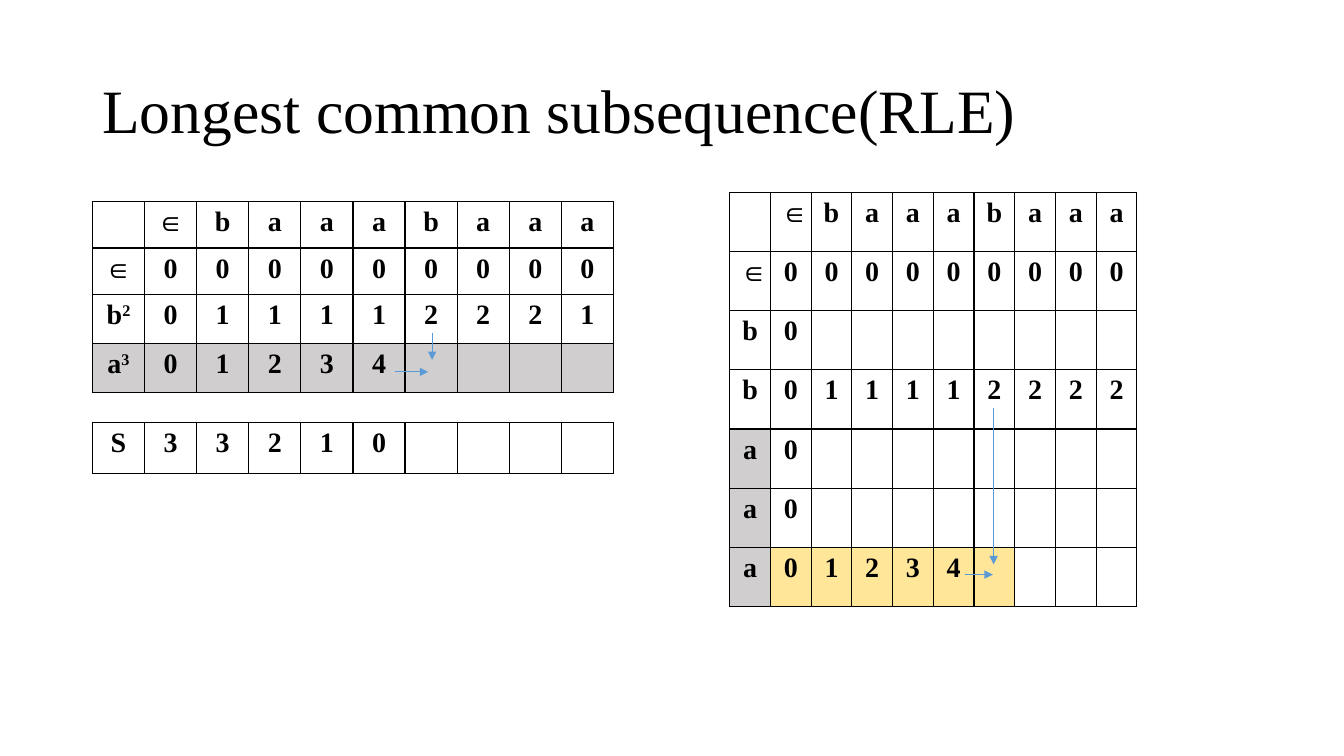
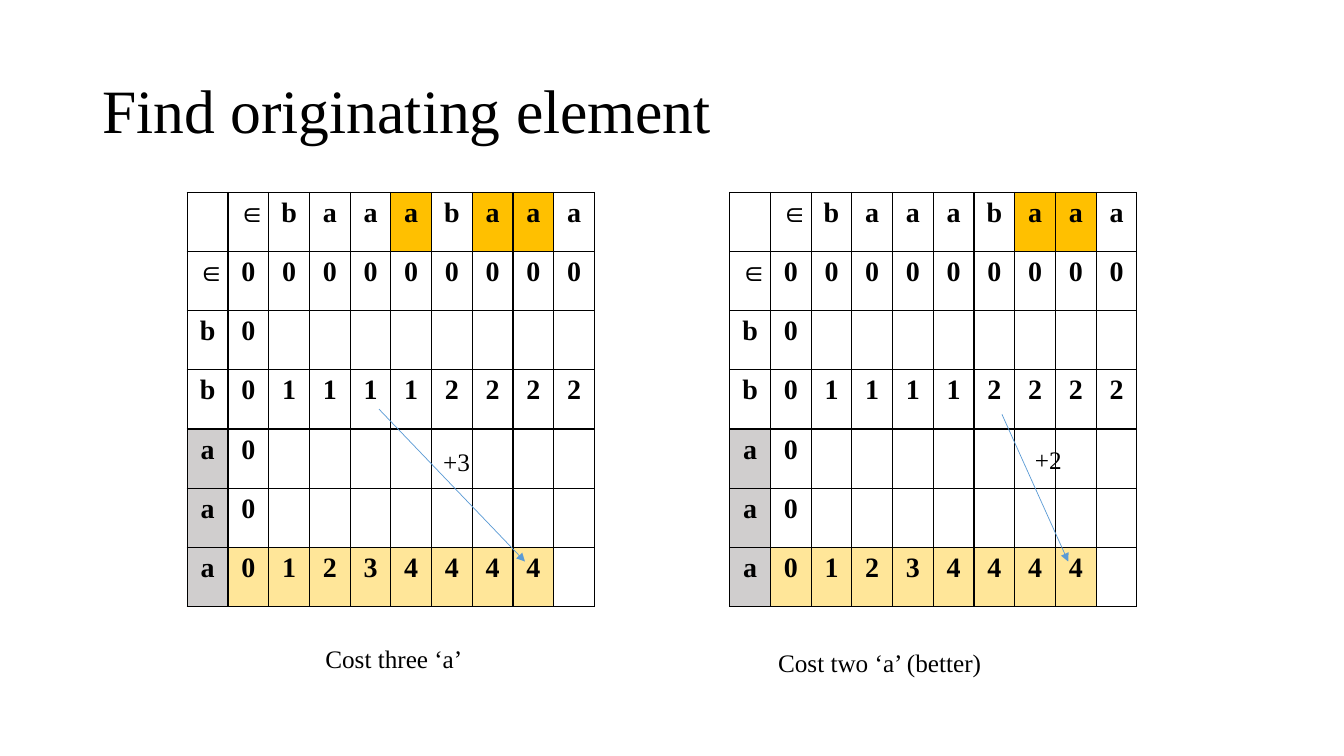
from lxml import etree
from pptx import Presentation
from pptx.dml.color import RGBColor
from pptx.enum.shapes import MSO_CONNECTOR
from pptx.enum.text import MSO_ANCHOR, PP_ALIGN
from pptx.oxml.ns import qn
from pptx.util import Cm, Pt

STRAIGHT = MSO_CONNECTOR.STRAIGHT
MIDDLE = MSO_ANCHOR.MIDDLE
CENTER = PP_ALIGN.CENTER
FONT = "Times New Roman"
COLORS = {
    "ink": "000000",
    "arrow": "5B9BD5",
    "gray": "D0CECE",
    "cream": "FFE699",
    "gold": "FFC000",
}
HEAD = " ∈baaabaaa"
ZEROS = "∈000000000"
LEFT = 4.72
RIGHT = 18.39
TOP = 4.85


def color(key):
    return RGBColor.from_string(COLORS[key])


def style(part, size, bold=False):
    for run in part.runs:
        run.font.name = FONT
        run.font.size = Pt(size)
        run.font.bold = bold
        run.font.color.rgb = color("ink")


def label(slide, text, box, size=18):
    frame = slide.shapes.add_textbox(*map(Cm, box)).text_frame
    frame.word_wrap = True
    frame.text = text
    style(frame.paragraphs[0], size)
    return frame


def page(deck, title):
    slide = deck.slides.add_slide(deck.slide_layouts[6])
    frame = label(slide, title, (2.33, 1.02, 29.21, 3.68), 44)
    frame.vertical_anchor = MIDDLE
    frame.paragraphs[0].line_spacing = 0.9
    return slide


def arrow(slide, base, start, end):
    x, y = base
    ends = (x + start[0], y + start[1], x + end[0], y + end[1])
    line = slide.shapes.add_connector(STRAIGHT, *map(Cm, ends))
    line.line.color.rgb = color("arrow")
    line.line.width = Pt(0.5)
    stroke = line.line._get_or_add_ln()
    etree.SubElement(stroke, qn("a:tailEnd"), type="triangle")
    etree.SubElement(line._element.spPr, qn("a:effectLst"))


def border(cell):
    props = cell._tc.get_or_add_tcPr()
    for spot, side in enumerate(("lnL", "lnR", "lnT", "lnB")):
        edge = etree.Element(qn("a:" + side), w=str(Pt(1)))
        fill = etree.SubElement(edge, qn("a:solidFill"))
        etree.SubElement(fill, qn("a:srgbClr"), val=COLORS["ink"])
        props.insert(spot, edge)


def fill_cell(cell, text, shade):
    base, _, power = text.strip().partition("^")
    cell.text = base
    part = cell.text_frame.paragraphs[0]
    part.alignment = CENTER
    if power:
        raised = part.add_run()
        raised.text = power
        raised.font._element.set("baseline", "30000")
    style(part, 20, True)
    if shade:
        cell.fill.solid()
        cell.fill.fore_color.rgb = color(shade)
    else:
        cell.fill.background()
    border(cell)


def grid(slide, base, width, heights, rows, shades):
    count = len(HEAD)
    box = (*base, width, sum(heights))
    table = slide.shapes.add_table(len(rows), count, *map(Cm, box)).table
    table.first_row = False
    table.horz_banding = False
    for col in table.columns:
        col.width = Cm(width / count)
    for r, (height, row) in enumerate(zip(heights, rows)):
        table.rows[r].height = Cm(height)
        for c in range(count):
            text = row[c] if c < len(row) else ""
            fill_cell(table.cell(r, c), text, shades.get((r, c)))


def full_grid(slide, base, last, marks=()):
    rows = [HEAD, ZEROS, "b0", "b011112222", "a0", "a0", "a" + last]
    shades = {(r, 0): "gray" for r in (4, 5, 6)}
    shades.update({(6, c + 1): "cream" for c in range(len(last))})
    shades.update({(0, c): "gold" for c in marks})
    grid(slide, base, 10.26, [1.49] * 7, rows, shades)


def short_grid(slide, base):
    x, y = base
    rows = [HEAD, ZEROS, ["b^2", *"011112221"], ["a^3", *"01234"]]
    shades = {(3, c): "gray" for c in range(len(HEAD))}
    grid(slide, base, 13.13, [1.17, 1.17, 1.24, 1.24], rows, shades)
    grid(slide, (x, y + 5.56), 13.13, [1.3], ["S33210"], {})
    arrow(slide, base, (8.56, 3.3), (8.56, 3.99))
    arrow(slide, base, (7.62, 4.29), (8.46, 4.29))


def cost_grid(slide, base, marks, start, end, gain, spot, note, foot):
    x, y = base
    full_grid(slide, base, "01234444", marks)
    arrow(slide, base, start, end)
    label(slide, gain, (x + spot[0], y + spot[1], 1.68, 1.02))
    label(slide, note, (x + foot[0], y + foot[1], 9.3, 1.02))


def main():
    deck = Presentation()
    deck.slide_width = Cm(33.87)
    deck.slide_height = Cm(19.05)

    slide = page(deck, "Longest common subsequence(RLE)")
    short_grid(slide, (2.33, 5.08))
    base = (RIGHT, TOP)
    full_grid(slide, base, "01234 ")
    arrow(slide, base, (6.65, 5.44), (6.65, 9.37))
    arrow(slide, base, (5.92, 9.63), (6.63, 9.63))

    slide = page(deck, "Find originating element")
    cost_grid(slide, (RIGHT, TOP), (7, 8), (6.86, 5.59), (8.53, 9.3),
              "+2", (7.44, 6.22), "Cost two ‘a’ (better)", (0.97, 11.33))
    cost_grid(slide, (LEFT, TOP), (5, 7, 8), (4.83, 5.46), (8.51, 9.3),
              "+3", (6.2, 6.27), "Cost three ‘a’", (3.23, 11.23))

    deck.save("out.pptx")


if __name__ == "__main__":
    main()
